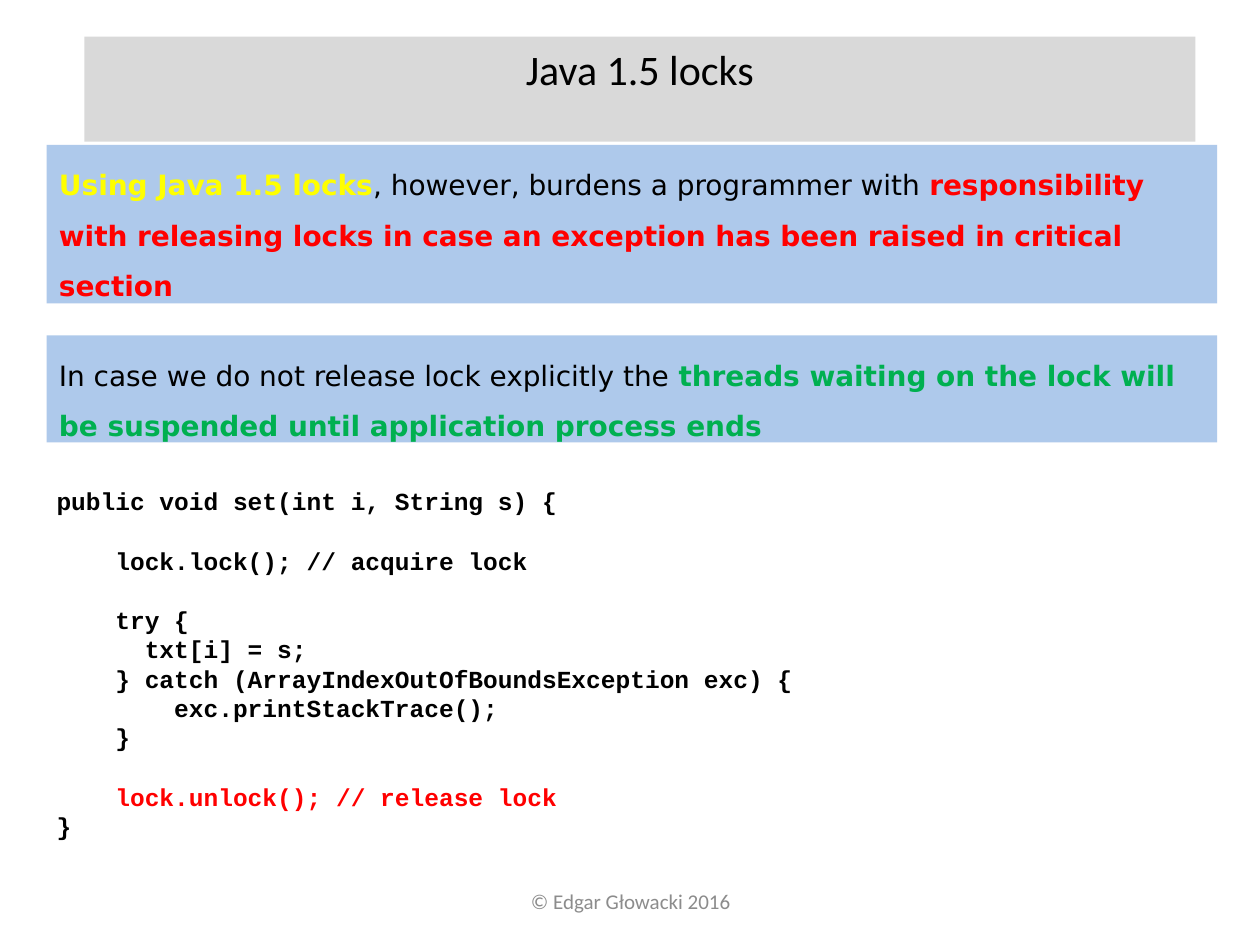
from pptx import Presentation
from pptx.dml.color import RGBColor
from pptx.enum.shapes import MSO_SHAPE
from pptx.enum.text import MSO_ANCHOR, MSO_AUTO_SIZE, PP_ALIGN
from pptx.oxml.ns import qn
from pptx.util import Cm, Pt
from lxml.etree import SubElement

BLACK = RGBColor(0x00, 0x00, 0x00)
GREY = RGBColor(0x8C, 0x8C, 0x8C)
LIGHT_GREY = RGBColor(0xD9, 0xD9, 0xD9)
BLUE = RGBColor(0x8E, 0xB4, 0xE3)
YELLOW = RGBColor(0xFF, 0xFF, 0x00)
RED = RGBColor(0xFF, 0x00, 0x00)
GREEN = RGBColor(0x00, 0xB0, 0x50)

BLUE_OPACITY = 71000  # thousandths of a percent
BLANK_LINE = Pt(17)

# Each run: text, colour, bold
NOTES = [
    ((0.94, 2.92, 23.6, 3.2), [
        ("Using Java 1.5 locks", YELLOW, True),
        (", however, burdens a programmer with ", BLACK, False),
        ("responsibility with releasing locks in case an exception has been "
         "raised in critical section", RED, True)]),
    ((0.94, 6.76, 23.6, 2.16), [
        ("In case we do not release lock explicitly the ", BLACK, False),
        ("threads waiting on the lock will be suspended until application "
         "process ends", GREEN, True)]),
]

# Blocks of code, set apart by one line's height
CODE = [
    ["public void set(int i, String s) {"],
    ["    lock.lock(); // acquire lock"],
    ["    try {",
     "      txt[i] = s;",
     "    } catch (ArrayIndexOutOfBoundsException exc) {",
     "        exc.printStackTrace();",
     "    }"],
    ["    lock.unlock(); // release lock",
     "}"],
]


def set_font(font, name, size, color=None, bold=None):
    font.name, font.size, font.bold = name, Pt(size), bold
    if color is not None:
        font.color.rgb = color


def prepare_frame(shape, anchor=MSO_ANCHOR.TOP, auto_size=MSO_AUTO_SIZE.SHAPE_TO_FIT_TEXT):
    frame = shape.text_frame
    frame.word_wrap = True
    frame.auto_size = auto_size
    frame.vertical_anchor = anchor
    return frame


def add_title(slide, box):
    title = slide.shapes.title
    title.left, title.top, title.width, title.height = map(Cm, box)
    title.fill.solid()
    title.fill.fore_color.rgb = LIGHT_GREY
    paragraph = prepare_frame(title).paragraphs[0]
    paragraph.text = "Java 1.5 locks"
    paragraph.alignment = PP_ALIGN.CENTER
    set_font(paragraph.font, "Calibri", 24, BLACK)


def add_note(slide, box, runs):
    shape = slide.shapes.add_shape(MSO_SHAPE.RECTANGLE, *map(Cm, box))
    shape.shadow.inherit = False
    shape.line.fill.background()
    shape.fill.solid()
    shape.fill.fore_color.rgb = BLUE
    # Translucent fill
    color = shape.fill._xPr.find(qn("a:solidFill"))[0]
    SubElement(color, qn("a:alpha"), val=str(BLUE_OPACITY))

    paragraph = prepare_frame(shape).paragraphs[0]
    paragraph.alignment = PP_ALIGN.LEFT
    paragraph.line_spacing = 1.5
    for text, color, bold in runs:
        run = paragraph.add_run()
        run.text = text
        set_font(run.font, "DejaVu Sans", 16, color, bold)


def add_code(slide, box):
    frame = prepare_frame(slide.shapes.add_textbox(*map(Cm, box)))
    paragraph = frame.paragraphs[0]
    for block_index, block in enumerate(CODE):
        for line_index, line in enumerate(block):
            if block_index or line_index:
                paragraph = frame.add_paragraph()
            if block_index and not line_index:
                paragraph.space_before = BLANK_LINE
            paragraph.text = line
            color = RED if "unlock" in line else BLACK
            set_font(paragraph.font, "Courier New", 14, color, True)


def add_footer(slide, box):
    shape = slide.shapes.add_textbox(*map(Cm, box))
    paragraph = prepare_frame(shape, MSO_ANCHOR.MIDDLE, MSO_AUTO_SIZE.NONE).paragraphs[0]
    paragraph.text = "© Edgar Głowacki 2016"
    paragraph.alignment = PP_ALIGN.CENTER
    set_font(paragraph.font, "Calibri", 12, GREY)


def main():
    presentation = Presentation()
    presentation.slide_width, presentation.slide_height = Cm(25.4), Cm(19.05)
    slide = presentation.slides.add_slide(presentation.slide_layouts[5])  # title only

    add_footer(slide, (8.69, 17.65, 8.05, 1.02))
    add_title(slide, (1.7, 0.74, 22.4, 1.27))
    for box, runs in NOTES:
        add_note(slide, box, runs)
    add_code(slide, (0.89, 9.68, 22.94, 7.44))

    presentation.save("out.pptx")


if __name__ == "__main__":
    main()
